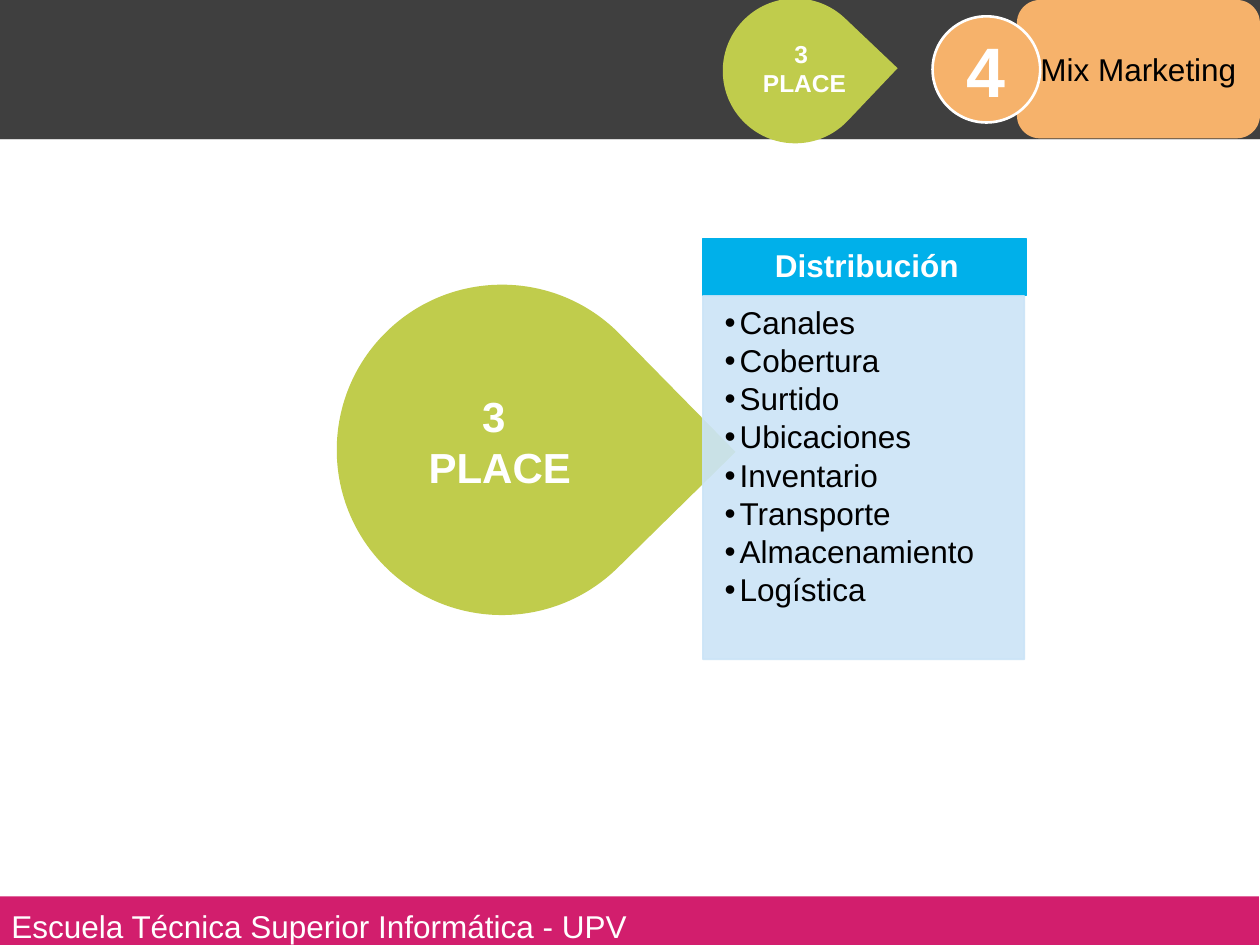
from dataclasses import dataclass

from lxml import etree
from pptx import Presentation
from pptx import util as u
from pptx.dml.color import RGBColor
from pptx.enum import shapes, text
from pptx.oxml.ns import qn
from pptx.slide import Slide


@dataclass(frozen=True)
class Theme:
    font: str = "Arial"
    dark: str = "3F3F3F"
    rule: str = "D7D7D7"
    pink: str = "D21E6D"
    green: str = "C0CC4C"
    blue: str = "00B0EA"
    pale: str = "CBE4F7"
    orange: str = "F6B26B"
    white: str = "FFFFFF"
    black: str = "000000"
    body: float = 18
    small: float = 14
    large: float = 24
    number: float = 40


THEME = Theme()
SHAPE = shapes.MSO_SHAPE
CENTER = text.PP_ALIGN.CENTER
LEFT = text.PP_ALIGN.LEFT
MIDDLE = text.MSO_ANCHOR.MIDDLE
TOP = text.MSO_ANCHOR.TOP
QUARTER_ARC = 0.5523  # Bézier handle length for a quarter of a unit circle


@dataclass(frozen=True)
class Box:
    """Position and size in centimetres."""
    left: float
    top: float
    width: float
    height: float

    def lengths(self) -> tuple:
        return tuple(u.Cm(v) for v in (self.left, self.top, self.width, self.height))


@dataclass(frozen=True)
class Style:
    size: float = THEME.body
    color: str = THEME.white
    bold: bool = False
    align: text.PP_ALIGN = CENTER
    anchor: text.MSO_ANCHOR = MIDDLE
    insets: tuple = (0.25, 0.13, 0.25, 0.13)
    spacing: float = 1.0
    bullet: str = ""


@dataclass(frozen=True)
class Drop:
    """Circle with one square corner, turned so that the corner points right."""
    x: float
    y: float
    radius: float
    rotation: float
    label_box: Box
    size: float


DROPS = (
    Drop(10.12, 9.07, 3.33, 45.5, Box(7.37, 7.75, 5.41, 2.41), THEME.large),
    Drop(16.03, 1.43, 1.46, 43.5, Box(14.99, 0.65, 2.46, 1.02), THEME.small),
)
TOPICS = ("Canales", "Cobertura", "Surtido", "Ubicaciones", "Inventario",
          "Transporte", "Almacenamiento", "Logística")


def rgb(color: str) -> RGBColor:
    return RGBColor.from_string(color)


def add_bullet(paragraph, style: Style) -> None:
    paragraph.level = 1
    properties = paragraph._p.get_or_add_pPr()
    properties.set("marL", str(u.Cm(0.3)))
    properties.set("indent", str(u.Cm(-0.36)))
    color = etree.SubElement(properties, qn("a:buClr"))
    etree.SubElement(color, qn("a:srgbClr"), val=style.color)
    etree.SubElement(properties, qn("a:buFont"), typeface=THEME.font)
    etree.SubElement(properties, qn("a:buChar"), char=style.bullet)


def write(shape, lines: tuple, style: Style) -> None:
    frame = shape.text_frame
    frame.word_wrap = True
    frame.vertical_anchor = style.anchor
    (frame.margin_left, frame.margin_top,
     frame.margin_right, frame.margin_bottom) = map(u.Cm, style.insets)
    for index, line in enumerate(lines):
        paragraph = frame.add_paragraph() if index else frame.paragraphs[0]
        if style.bullet:
            add_bullet(paragraph, style)
            if index:
                paragraph.space_before = u.Pt(2.4)
        paragraph.alignment = style.align
        paragraph.line_spacing = style.spacing
        run = paragraph.add_run()
        run.text = line
        run.font.name = THEME.font
        run.font.size = u.Pt(style.size)
        run.font.bold = style.bold
        run.font.color.rgb = rgb(style.color)


def add_text(slide: Slide, box: Box, lines: tuple, style: Style) -> None:
    write(slide.shapes.add_textbox(*box.lengths()), lines, style)


def paint(shape, fill: str, line: str = "", width: float = 1) -> None:
    shape.shadow.inherit = False
    shape.fill.solid()
    shape.fill.fore_color.rgb = rgb(fill)
    if line:
        shape.line.color.rgb = rgb(line)
        shape.line.width = u.Pt(width)
    else:
        shape.line.fill.background()


def add_block(slide: Slide, kind: shapes.MSO_SHAPE, box: Box, fill: str,
              line: str = "", width: float = 1):
    shape = slide.shapes.add_shape(kind, *box.lengths())
    paint(shape, fill, line, width)
    return shape


def set_opacity(shape, percent: int) -> None:
    for color in shape._element.spPr.iter(qn("a:srgbClr")):
        etree.SubElement(color, qn("a:alpha"), val=str(percent * 1000))


def round_corners(shape, nodes: list, corners: list, radius: int) -> None:
    """Turn the sides that cut the corners into quarter arcs."""
    sides = list(shape._element.spPr.iter(qn("a:lnTo")))[-len(corners):]
    for side, start, corner, end in zip(sides, nodes, corners, nodes[1:]):
        handles = [tuple(a + (c - a) * QUARTER_ARC for a, c in zip(node, corner))
                   for node in (start, end)]
        side.tag = qn("a:cubicBezTo")
        side.clear()
        for x, y in (*handles, end):
            etree.SubElement(side, qn("a:pt"), x=str(round(radius * (1 + x))),
                             y=str(round(radius * (1 + y))))


def add_drop(slide: Slide, drop: Drop) -> None:
    # Nodes and corners in units of the radius, around the centre
    nodes = [(1, 0), (0, 1), (-1, 0), (0, -1)]
    corners = [(1, 1), (-1, 1), (-1, -1)]
    outline = [(u.Cm(drop.x + drop.radius * x), u.Cm(drop.y + drop.radius * y))
               for x, y in [(0, -1), (1, -1), *nodes]]
    builder = slide.shapes.build_freeform(*outline[0])
    builder.add_line_segments(outline[1:], close=True)
    shape = builder.convert_to_shape()
    round_corners(shape, nodes, corners, u.Cm(drop.radius))
    shape.rotation = drop.rotation
    paint(shape, THEME.green)
    add_text(slide, drop.label_box, ("3 ", "PLACE"),
             Style(size=drop.size, bold=True, anchor=TOP))


def add_frame(slide: Slide) -> None:
    # Header band with its rule
    add_block(slide, SHAPE.RECTANGLE, Box(0, 0, 25.4, 2.81), THEME.dark)
    rule = slide.shapes.add_connector(shapes.MSO_CONNECTOR.STRAIGHT,
                                      u.Cm(0), u.Cm(2.81), u.Cm(25.4), u.Cm(2.81))
    rule.line.color.rgb = rgb(THEME.rule)
    rule.line.width = u.Pt(0.75)
    etree.SubElement(rule._element.spPr, qn("a:effectLst"))
    # Footer band
    footer = add_block(slide, SHAPE.RECTANGLE, Box(-0.02, 18.07, 25.4, 1.19), THEME.pink)
    write(footer, ("Escuela Técnica Superior Informática - UPV",),
          Style(align=LEFT, insets=(0.25,) * 4))


def add_distribution(slide: Slide) -> None:
    # Heading
    add_block(slide, SHAPE.RECTANGLE, Box(14.17, 4.81, 6.52, 1.15), THEME.blue, THEME.blue)
    add_text(slide, Box(14.3, 4.81, 6.35, 1.14), ("Distribución",),
             Style(bold=True, insets=(0.3, 0.18, 0.3, 0.18), spacing=0.9))
    # Topic list on a translucent panel
    panel = add_block(slide, SHAPE.RECTANGLE, Box(14.17, 5.97, 6.48, 7.32),
                      THEME.pale, THEME.pale)
    set_opacity(panel, 90)
    add_text(slide, Box(14.38, 5.96, 5.99, 6.4), TOPICS,
             Style(color=THEME.black, align=LEFT, anchor=TOP,
                   insets=(0.23, 0.23, 0.3, 0.33), spacing=0.9, bullet="•"))


def add_section_badge(slide: Slide) -> None:
    tab = add_block(slide, SHAPE.ROUNDED_RECTANGLE, Box(20.5, 0, 4.9, 2.79), THEME.orange)
    write(tab, ("Mix Marketing",), Style(color=THEME.black, insets=(0,) * 4))
    circle = add_block(slide, SHAPE.OVAL, Box(18.8, 0.33, 2.17, 2.14),
                       THEME.orange, THEME.white, 1.5)
    write(circle, ("4",), Style(size=THEME.number, bold=True))


def main() -> None:
    presentation = Presentation()
    presentation.slide_width, presentation.slide_height = u.Cm(25.4), u.Cm(19.05)
    slide = presentation.slides.add_slide(presentation.slide_layouts[6])
    main_drop, header_drop = DROPS
    add_frame(slide)
    add_drop(slide, main_drop)
    add_distribution(slide)
    add_drop(slide, header_drop)
    add_section_badge(slide)
    presentation.save("out.pptx")


if __name__ == "__main__":
    main()
